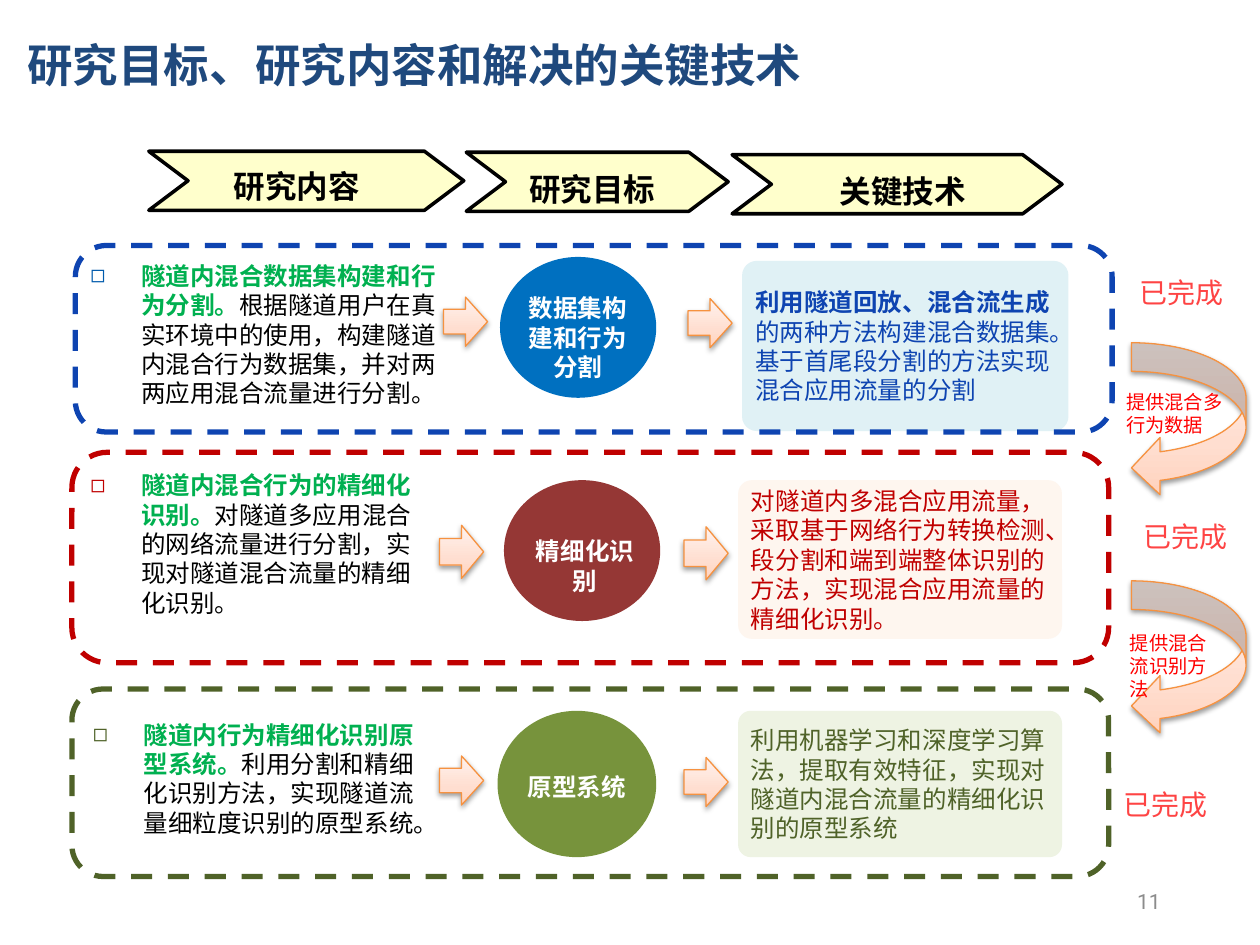
from dataclasses import dataclass, field

from lxml.etree import SubElement
from pptx import Presentation
from pptx.dml.color import RGBColor
from pptx.enum.dml import MSO_LINE
from pptx.enum.shapes import MSO_SHAPE
from pptx.enum.text import MSO_ANCHOR, MSO_AUTO_SIZE, PP_ALIGN
from pptx.oxml import parse_xml
from pptx.oxml.ns import nsdecls, qn
from pptx.util import Cm, Pt

COLORS = {
    "title": "1F497D", "black": "000000", "white": "FFFFFF",
    "banner": "FFFFCC", "lead": "00B050", "note": "FF0000",
    "status": "FE4444", "number": "8C8C8C", "arrow_line": "F69240",
    "blue": "0E44B1", "blue_bullet": "005BAC", "blue_circle": "0070C0", "blue_card": "B7DEE8",
    "red": "C00000", "red_circle": "953735", "red_card": "FDEADA",
    "green": "4F6228", "green_circle": "77933C", "green_card": "D7E4BD",
}
ARROW_STOPS = {0: "FFD2BD", 35000: "FFDED0", 100000: "FFF2ED"}
CARD_ALPHA = 42000


def color(name):
    return RGBColor.from_string(COLORS[name])


def write(box, text, size=14, ink="black", bold=False, font="Noto Sans CJK SC",
          align=PP_ALIGN.LEFT, anchor=MSO_ANCHOR.TOP, wrap=True, spacing=1.0, inset=None):
    """Fill a box with one paragraph; text is a string or (text, ink, bold) spans."""
    frame = box.text_frame
    frame.auto_size = MSO_AUTO_SIZE.NONE
    frame.word_wrap = wrap
    frame.vertical_anchor = anchor
    if inset:
        frame.margin_left = frame.margin_right = Cm(inset[0])
        frame.margin_top = frame.margin_bottom = Cm(inset[1])
    para = frame.paragraphs[0]
    para.alignment = align
    para.line_spacing = spacing
    para.space_before = Pt(0)
    spans = [(text, ink, bold)] if isinstance(text, str) else text
    for words, span_ink, span_bold in spans:
        span = para.add_run()
        span.text = words
        span.font.size = Pt(size)
        span.font.bold = span_bold
        span.font.color.rgb = color(span_ink)
        span.font.name = font
        SubElement(span.font._element, qn("a:ea")).set("typeface", font)
    return para


@dataclass
class Painter:
    page: object
    line_width: float = 0.75
    arrow_size: tuple = (2.31, 3.1)
    status_size: tuple = (2.21, 0.94)
    bodies: list = field(default_factory=list)

    def place(self, box, area):
        box.left, box.top, box.width, box.height = map(Cm, area)

    def title(self, area, text):
        box = self.page.shapes.title
        self.place(box, area)
        write(box, text, size=26, ink="title", bold=True, spacing=1.5, anchor=MSO_ANCHOR.MIDDLE)

    def text(self, area, text, **style):
        write(self.page.shapes.add_textbox(*map(Cm, area)), text, **style)

    def shape(self, kind, area, fill=None, line=None, width=None, adjust=None):
        shape = self.page.shapes.add_shape(kind, *map(Cm, area))
        shape.shadow.inherit = False
        if adjust:
            shape.adjustments[0] = adjust
        if fill:
            shape.fill.solid()
            shape.fill.fore_color.rgb = color(fill)
        else:
            shape.fill.background()
        if line:
            shape.line.color.rgb = color(line)
            shape.line.width = Pt(width or self.line_width)
        else:
            shape.line.fill.background()
        return shape

    def arrow(self, kind, area):
        """Draw a block arrow with a peach gradient and a soft shadow."""
        shape = self.shape(kind, area, line="arrow_line")
        properties = shape._element.spPr
        stops = "".join(f'<a:gs pos="{position}"><a:srgbClr val="{value}"/></a:gs>'
                        for position, value in ARROW_STOPS.items())
        gradient = parse_xml(f'<a:gradFill {nsdecls("a")} rotWithShape="1"><a:gsLst>{stops}'
                             '</a:gsLst><a:lin ang="16200000" scaled="1"/></a:gradFill>')
        properties.replace(properties.find(qn("a:noFill")), gradient)
        properties.find(qn("a:effectLst")).append(parse_xml(
            f'<a:outerShdw {nsdecls("a")} blurRad="{Pt(3.1)}" dist="{Pt(1.6)}" dir="5400000" '
            'rotWithShape="0"><a:srgbClr val="000000"><a:alpha val="38000"/></a:srgbClr>'
            '</a:outerShdw>'))

    def banner(self, area, label_area, text):
        self.shape(MSO_SHAPE.CHEVRON, area, "banner", "black", 2, adjust=0.665)
        self.text(label_area, text, size=18, bold=True, wrap=False, spacing=1.5,
                  align=PP_ALIGN.CENTER)

    def bullet(self, area, lead, detail, bullet_ink):
        box = self.bodies.pop(0)
        self.place(box, area)
        para = box.text_frame.paragraphs[0]
        para.level = 1
        properties = para._p.get_or_add_pPr()
        properties.set("marL", str(Cm(1.83)))
        properties.set("indent", str(-Cm(1.02)))
        mark = SubElement(properties, qn("a:buClr"))
        SubElement(mark, qn("a:srgbClr")).set("val", COLORS[bullet_ink])
        SubElement(properties, qn("a:buChar")).set("char", "◻")
        write(box, [(lead, "lead", True), (detail, "black", False)])

    def card(self, area, fill, text, ink):
        card = self.shape(MSO_SHAPE.ROUNDED_RECTANGLE, area, fill, adjust=0.086)
        tint = card._element.spPr.find(qn("a:solidFill"))[0]
        SubElement(tint, qn("a:alpha")).set("val", str(CARD_ALPHA))
        write(card, text, ink=ink, anchor=MSO_ANCHOR.MIDDLE, inset=(0.18, 0.1))

    def frame(self, area, line):
        frame = self.shape(MSO_SHAPE.ROUNDED_RECTANGLE, area, line=line, width=3)
        frame.line.dash_style = MSO_LINE.DASH

    def row(self, hue, bullet_ink, bullet, card, circle, label, arrow, frame):
        self.bullet(*bullet, bullet_ink)
        card_area, card_text = card
        self.card(card_area, f"{hue}_card", card_text, hue)
        self.shape(MSO_SHAPE.FLOWCHART_CONNECTOR, circle, f"{hue}_circle")
        label_area, label_text = label
        self.text(label_area, label_text, ink="white", bold=True, align=PP_ALIGN.CENTER)
        self.frame(frame, hue)
        left, top, height = arrow
        for step in range(2):
            self.arrow(MSO_SHAPE.RIGHT_ARROW,
                       (left + 4.93 * step, top + 0.03 * step, 0.89, height))


BANNERS = [
    ((14.76, 3.12, 6.65, 1.19), (16.66, 2.97, 3.07, 1.27), "关键技术"),
    ((9.4, 3.07, 5.28, 1.19), (10.41, 2.92, 3.07, 1.27), "研究目标"),
    ((3, 3.05, 6.35, 1.19), (4.45, 2.87, 3.07, 1.27), "研究内容"),
]
ROWS = [
    dict(hue="blue", bullet_ink="blue_bullet", frame=(1.52, 4.95, 20.9, 3.76),
         bullet=((0.76, 5.13, 8.43, 3.25), "隧道内混合数据集构建和行为分割。",
                 "根据隧道用户在真实环境中的使用，构建隧道内混合行为数据集，并对两两应用混合流量进行分割。"),
         card=((14.96, 5.26, 6.58, 3.43),
               [("利用隧道回放、混合流生成", "blue", True),
                ("的两种方法构建混合数据集。基于首尾段分割的方法实现混合应用流量的分割", "blue", False)]),
         circle=(10.08, 5.18, 3.15, 2.84), arrow=(8.94, 5.99, 0.99),
         label=((10.16, 5.79, 2.97, 1.45), "数据集构建和行为分割")),
    dict(hue="red", bullet_ink="red", frame=(1.45, 9.12, 20.9, 4.24),
         bullet=((0.76, 9.35, 8.2, 3.25), "隧道内混合行为的精细化识别。",
                 "对隧道多应用混合的网络流量进行分割，实现对隧道混合流量的精细化识别。"),
         card=((14.88, 9.68, 6.53, 3.2),
               "对隧道内多混合应用流量，采取基于网络行为转换检测、段分割和端到端整体识别的方法，"
               "实现混合应用流量的精细化识别。"),
         circle=(10.16, 9.68, 3.15, 2.84), arrow=(8.86, 10.59, 1.07),
         label=((10.31, 10.69, 2.97, 0.86), "精细化识别")),
    dict(hue="green", bullet_ink="green", frame=(1.45, 13.89, 20.9, 3.78),
         bullet=((0.81, 14.38, 8.05, 2.64), "隧道内行为精细化识别原型系统。",
                 "利用分割和精细化识别方法，实现隧道流量细粒度识别的原型系统。"),
         card=((14.88, 14.33, 6.53, 2.95),
               "利用机器学习和深度学习算法，提取有效特征，实现对隧道内混合流量的精细化识别的原型系统"),
         circle=(10.03, 14.33, 3.2, 2.95), arrow=(8.86, 15.24, 0.99),
         label=((10.08, 15.44, 3.1, 0.86), "原型系统")),
]
HANDOVERS = [
    (6.91, (22.45, 7.75, 2.67, 1.19), "提供混合多行为数据"),
    (11.71, (22.53, 12.6, 2.31, 1.65), "提供混合流识别方法"),
]
STATUS_SPOTS = [(22.73, 5.44), (22.81, 10.34), (22.4, 15.75)]


def main():
    deck = Presentation()
    deck.slide_width, deck.slide_height = Cm(25.4), Cm(19.05)
    page = deck.slides.add_slide(deck.slide_layouts.get_by_name("Comparison"))
    *bodies, spare = list(page.placeholders)[1:]
    spare._element.getparent().remove(spare._element)
    painter = Painter(page, bodies=bodies)

    painter.title((0.3, 0.13, 22.43, 1.8), "研究目标、研究内容和解决的关键技术")
    for banner in BANNERS:
        painter.banner(*banner)
    for row in ROWS:
        painter.row(**row)
    for top, note_area, note in HANDOVERS:
        painter.arrow(MSO_SHAPE.CURVED_LEFT_ARROW, (22.81, top, *painter.arrow_size))
        painter.text(note_area, note, size=11, ink="note")
    for spot in STATUS_SPOTS:
        painter.text((*spot, *painter.status_size), "已完成", size=16, ink="status",
                     font="Arial", wrap=False)
    painter.text((17.93, 17.65, 5.72, 1.02), "11", size=12, ink="number", font="Roboto",
                 align=PP_ALIGN.RIGHT, anchor=MSO_ANCHOR.MIDDLE)
    deck.save("out.pptx")


if __name__ == "__main__":
    main()
